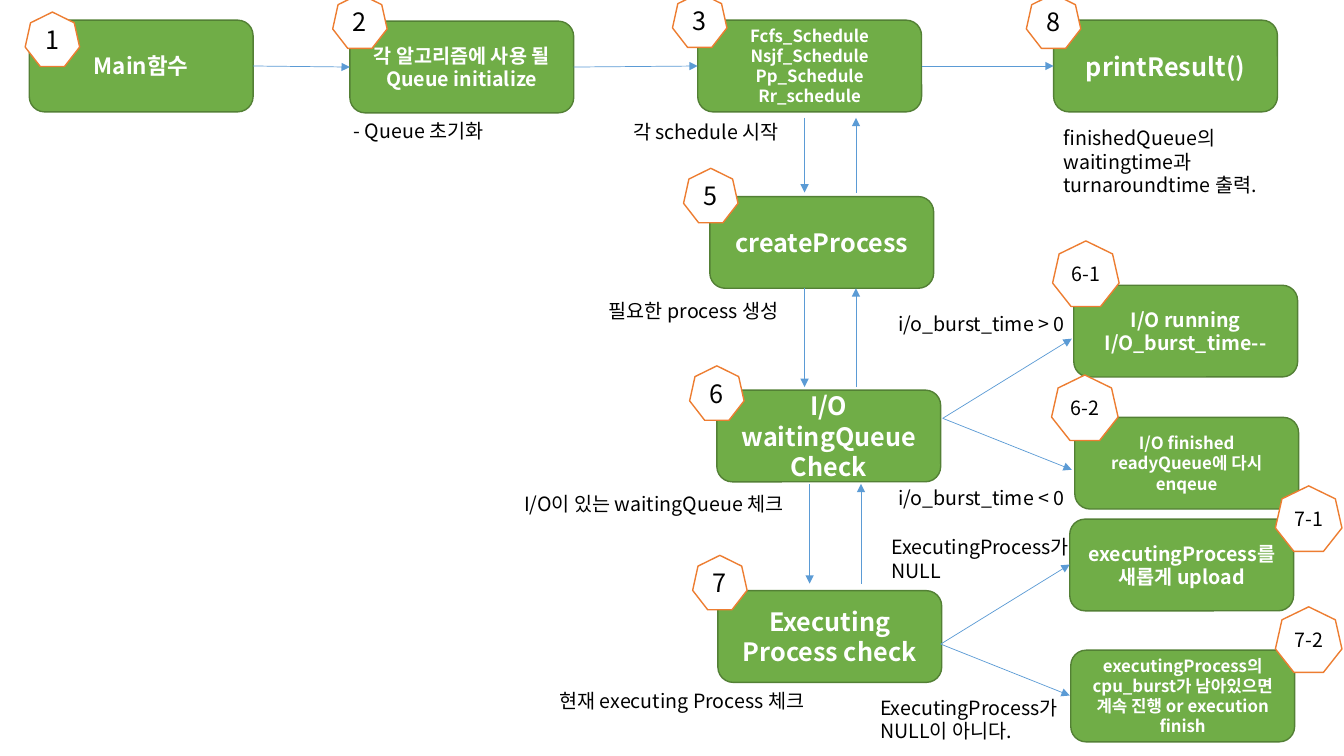
"""Draws the flow of a CPU scheduling simulator as one slide."""
from dataclasses import dataclass

from lxml import etree
from pptx import Presentation
from pptx import util as u
from pptx.dml.color import RGBColor
from pptx.enum import shapes, text
from pptx.oxml.ns import qn


@dataclass(frozen=True)
class Theme:
    """Colours, type sizes and the font of the slide."""
    font: str = "Noto Sans CJK KR"
    step: str = "70AD47"
    step_edge: str = "538035"
    badge: str = "FFFFFF"
    badge_edge: str = "ED7D31"
    arrow: str = "5B9BD5"
    light: str = "FFFFFF"
    dark: str = "000000"
    large: int = 18
    title: int = 16
    body: int = 14
    small: int = 12
    edge: float = 1
    thin: float = 0.5


THEME = Theme()
COLUMNS, ROWS = 133.3, 75
STEP_SIZE = 22.2, 9.1
BADGE_SIZE = 5.4, 5.4
SUB_BADGE_SIZE = 6.6, 6.5
RIGHT_SITE, LEFT_SITE = 3, 1
RETURN_GAP = 5.1
FORK_WIDTH, FORK_RISE, FORK_DROP = 12.8, 7.9, 5.1

STEPS = {
    "1": ("Main함수", (2.9, 2), THEME.title, (2.5, 1.2)),
    "2": ("각 알고리즘에 사용 될 Queue initialize", (34.7, 2.1), THEME.body, (33, -0.6)),
    "3": ("Fcfs_Schedule\nNsjf_Schedule\nPp_Schedule\nRr_schedule", (69.2, 2),
          THEME.small, (66.7, -0.7)),
    "8": ("printResult()", (104.5, 2), THEME.large, (101.8, -0.6)),
    "5": ("createProcess", (70.4, 19.5), THEME.large, (67.8, 16.7)),
    "6": ("I/O waitingQueue Check", (71.1, 38.7), THEME.large, (68.4, 36.3)),
    "7": ("Executing Process check", (71.2, 58.6), THEME.large, (68.7, 55.1)),
    "6-1": ("I/O running\nI/O_burst_time--", (106.5, 28.3), THEME.body, (104.4, 23.9)),
    "6-2": ("I/O finished\nreadyQueue에 다시 enqeue", (106.6, 41.4), THEME.small,
            (104.3, 37.2)),
    "7-1": ("executingProcess를 새롭게 upload", (106.1, 51.5), THEME.body, (126.5, 48.2)),
    "7-2": ("executingProcess의 cpu_burst가 남아있으면 계속 진행 or execution finish",
            (106.2, 64.5), THEME.small, (126.5, 60.2)),
}
NOTES = [
    ("- Queue 초기화", (34.1, 11.3), (20.4, 3.4)),
    ("각 schedule 시작", (61.8, 11.4), (23.9, 3.4)),
    ("필요한 process 생성", (59.4, 29.2), (23.9, 3.4)),
    ("I/O이 있는 waitingQueue 체크", (51, 48.3), (34.3, 3.4)),
    ("현재 executing Process 체크", (54.5, 67.9), (34.3, 3.4)),
    ("finishedQueue의 waitingtime과 turnaroundtime 출력.", (104.5, 12), (23.9, 8.1)),
    ("i/o_burst_time > 0", (88.1, 30.5), (19.7, 3.4)),
    ("i/o_burst_time < 0", (88.1, 47.7), (19.7, 3.4)),
    ("ExecutingProcess가 NULL", (87.4, 52.6), (19.7, 5.7)),
    ("ExecutingProcess가 NULL이 아니다.", (86.3, 68.5), (19.7, 5.7)),
]
ROUND_TRIPS = [(79.8, 11.7, 19.1), (79.8, 28.6, 38.4), (80.3, 48, 57.9)]
FORKS = [(93.5, 41.5), (93.3, 63.9)]


def write(frame, words, *, size, color, bold=False, align=text.PP_ALIGN.LEFT):
    """Fill a text frame, one paragraph for each line of the words."""
    for index, line in enumerate(words.split("\n")):
        para = frame.paragraphs[0] if index == 0 else frame.add_paragraph()
        para.alignment = align
        span = para.add_run()
        span.text = line
        span.font.size, span.font.bold = u.Pt(size), bold
        span.font.color.rgb = RGBColor.from_string(color)
        span.font.name = THEME.font
        properties = span.font._element
        etree.SubElement(properties, qn("a:ea"), typeface=THEME.font)


class FlowPage:
    """Holds the theme and the current page, and draws on a grid."""

    def __init__(self, deck, theme):
        """Add a blank page to the deck."""
        self.theme = theme
        self.column = deck.slide_width / COLUMNS
        self.row = deck.slide_height / ROWS
        self.page = deck.slides.add_slide(deck.slide_layouts[6])

    def place(self, at):
        """Turn columns and rows into slide lengths."""
        return u.Emu(round(at[0] * self.column)), u.Emu(round(at[1] * self.row))

    def shape(self, kind, at, size, fill, edge):
        """Draw a filled, outlined preset shape."""
        shape = self.page.shapes.add_shape(kind, *self.place(at), *self.place(size))
        shape.shadow.inherit = False
        shape.fill.solid()
        shape.fill.fore_color.rgb = RGBColor.from_string(fill)
        shape.line.color.rgb = RGBColor.from_string(edge)
        shape.line.width = u.Pt(self.theme.edge)
        shape.text_frame.vertical_anchor = text.MSO_ANCHOR.MIDDLE
        return shape

    def step(self, words, at, size):
        """Draw a step of the flow."""
        box = self.shape(shapes.MSO_SHAPE.ROUNDED_RECTANGLE, at, STEP_SIZE,
                         self.theme.step, self.theme.step_edge)
        box.text_frame.word_wrap = True
        write(box.text_frame, words, size=size, color=self.theme.light, bold=True,
              align=text.PP_ALIGN.CENTER)
        return box

    def badge(self, number, at):
        """Draw the number of a step, larger for a branch."""
        branch = "-" in number
        box = self.shape(shapes.MSO_SHAPE.HEPTAGON, at,
                         SUB_BADGE_SIZE if branch else BADGE_SIZE,
                         self.theme.badge, self.theme.badge_edge)
        frame = box.text_frame
        frame.word_wrap = False
        frame.margin_left = frame.margin_right = frame.margin_top = frame.margin_bottom = 0
        write(frame, number, size=self.theme.body if branch else self.theme.large,
              color=self.theme.dark, align=text.PP_ALIGN.CENTER)

    def note(self, words, at, size):
        """Write a note beside the flow."""
        box = self.page.shapes.add_textbox(*self.place(at), *self.place(size))
        box.text_frame.word_wrap = True
        write(box.text_frame, words, size=self.theme.body, color=self.theme.dark)

    def arrow(self, start, end):
        """Draw a thin straight arrow."""
        arrow = self.page.shapes.add_connector(
            shapes.MSO_CONNECTOR.STRAIGHT, *self.place(start), *self.place(end))
        arrow.line.color.rgb = RGBColor.from_string(self.theme.arrow)
        arrow.line.width = u.Pt(self.theme.thin)
        etree.SubElement(arrow.line._get_or_add_ln(), qn("a:tailEnd"), type="triangle")
        etree.SubElement(arrow._element.spPr, qn("a:effectLst"))
        return arrow

    def link(self, source, target):
        """Join the right side of a step to the left side of the next."""
        arrow = self.arrow((0, 0), (1, 1))
        arrow.begin_connect(source, RIGHT_SITE)
        arrow.end_connect(target, LEFT_SITE)

    def round_trip(self, x, top, bottom):
        """Draw an arrow down and its return beside it."""
        self.arrow((x, top), (x, bottom))
        self.arrow((x + RETURN_GAP, bottom), (x + RETURN_GAP, top))

    def fork(self, x, y):
        """Draw two arrows from one point to the branches."""
        for change in (-FORK_RISE, FORK_DROP):
            self.arrow((x, y), (x + FORK_WIDTH, y + change))


def main():
    """Build and save the deck."""
    deck = Presentation()
    deck.slide_width, deck.slide_height = u.Inches(13.33), u.Inches(7.5)
    flow = FlowPage(deck, THEME)
    boxes = {number: flow.step(words, at, size)
             for number, (words, at, size, _) in STEPS.items()}
    for source, target in ("12", "23", "38"):
        flow.link(boxes[source], boxes[target])
    for trip in ROUND_TRIPS:
        flow.round_trip(*trip)
    for point in FORKS:
        flow.fork(*point)
    for note in NOTES:
        flow.note(*note)
    for number, (*_, at) in STEPS.items():
        flow.badge(number, at)
    deck.save("out.pptx")


main()
